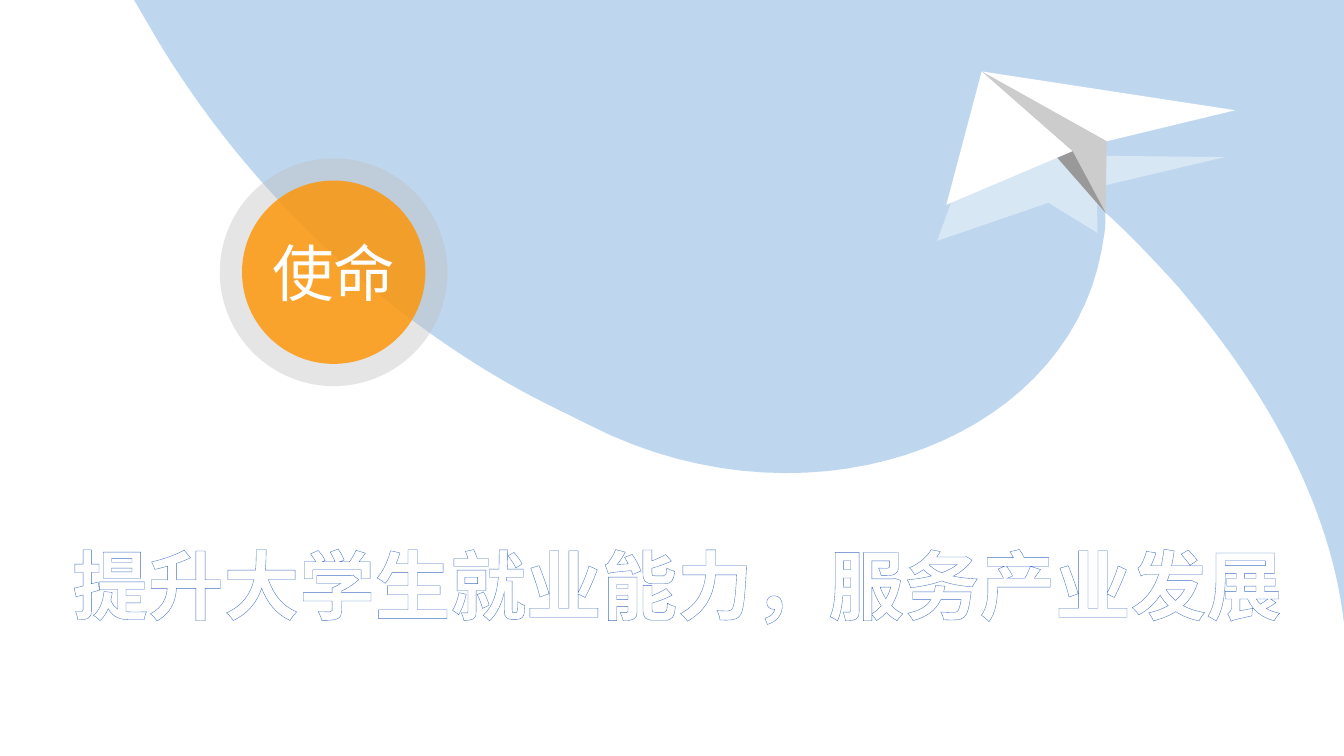
from lxml.etree import SubElement
from pptx import Presentation
from pptx.dml.color import RGBColor
from pptx.enum.shapes import MSO_SHAPE as Preset
from pptx.enum.text import MSO_ANCHOR as Anchor, MSO_AUTO_SIZE as AutoSize, PP_ALIGN as Align
from pptx.oxml.ns import qn
from pptx.util import Cm, Pt

WHITE = "FFFFFF"
CURVE_STEPS = 30

# Sky outline in cm: one point is a straight line, three are a Bezier curve.
SKY_START = (3.38, 0)
SKY_SEGMENTS = [
    [(33.87, 0)],
    [(33.87, 15.7)],
    [(33.51, 12.55), (31.75, 9.75), (30.18, 7.82)],
    [(29.72, 7.26)],
    [(28.93, 6.38), (28.27, 5.72), (27.86, 5.36)],
    [(27.86, 5.51), (27.86, 5.69), (27.84, 5.84)],
    [(27.76, 6.32)],
    [(26.9, 10.97), (20.85, 13.39), (15.39, 10.97)],
    [(14.81, 10.69)],
    [(13.84, 10.21)],
    [(12.47, 9.53), (11.18, 8.69), (9.93, 7.72)],
    [(7.47, 5.79), (5.44, 3.48), (3.91, 0.91)],
]

NOSE, RIGHT_TIP, LEFT_TIP = (24.74, 1.8), (31.13, 2.78), (23.85, 5.16)
FOLD, KEEL, TAIL = (27.89, 3.56), (27.03, 3.81), (27.86, 5.36)
PLANE_SHADOW = [(27.64, 4.72), (30.86, 3.96), (24.41, 3.89),
                (23.62, 6.07), (26.42, 5.11), (27.66, 5.87)]
PLANE_FACETS = [
    ([NOSE, FOLD, RIGHT_TIP], WHITE),
    ([NOSE, FOLD, TAIL], "CCCCCC"),
    ([NOSE, TAIL, KEEL], "999999"),
    ([NOSE, LEFT_TIP, KEEL], WHITE),
]

BADGE_CENTRE = (8.41, 6.86)
BADGE_RINGS = [(2.87, "BFBFBF", 40), (2.31, "FF9300", 80)]


def color(hex_text):
    return RGBColor.from_string(hex_text)


def paint(shape, fill, opacity=100):
    shape.shadow.inherit = False
    shape.line.fill.background()
    shape.fill.solid()
    shape.fill.fore_color.rgb = color(fill)
    if opacity < 100:
        tint = shape.fill._xPr.find(qn("a:solidFill"))[0]
        SubElement(tint, qn("a:alpha"), val=str(opacity * 1000))


def bezier(start, first, second, end):
    """Points along a cubic curve, without its start."""
    for step in range(1, CURVE_STEPS + 1):
        t = step / CURVE_STEPS
        u = 1 - t
        yield tuple(u**3 * a + 3 * u * u * t * b + 3 * u * t * t * c + t**3 * d
                    for a, b, c, d in zip(start, first, second, end))


def trace(start, segments):
    """Turn lines and curves into one list of points."""
    points = [start]
    for segment in segments:
        points += bezier(points[-1], *segment) if len(segment) == 3 else segment
    return points


def add_polygon(page, points, fill, opacity=100):
    corners = [(Cm(x), Cm(y)) for x, y in points]
    builder = page.shapes.build_freeform(*corners[0])
    builder.add_line_segments(corners[1:], close=True)
    paint(builder.convert_to_shape(), fill, opacity)


def add_badge_rings(page):
    group = page.shapes.add_group_shape()
    x, y = BADGE_CENTRE
    for radius, fill, opacity in BADGE_RINGS:
        ring = group.shapes.add_shape(Preset.OVAL, Cm(x - radius), Cm(y - radius),
                                      Cm(2 * radius), Cm(2 * radius))
        paint(ring, fill, opacity)


def write(box, text, size, bold=False):
    """Put one centred white line in a box and return its run."""
    frame = box.text_frame
    frame.text = text
    frame.word_wrap = False
    frame.auto_size = AutoSize.SHAPE_TO_FIT_TEXT
    frame.vertical_anchor = Anchor.TOP
    para = frame.paragraphs[0]
    para.alignment = Align.CENTER
    span = para.runs[0]
    span.font.name = "Arial"
    span.font.size = Pt(size)
    span.font.bold = bold
    span.font.color.rgb = color(WHITE)
    return span


def outline_text(span, hex_text, width):
    props = span._r.get_or_add_rPr()
    line = SubElement(props, qn("a:ln"), w=str(Pt(width)))
    fill = SubElement(line, qn("a:solidFill"))
    SubElement(fill, qn("a:srgbClr"), val=hex_text)
    props.insert(0, line)


def add_mission_title(page):
    title = page.shapes.title
    title.left, title.top, title.width, title.height = Cm(1.57), Cm(13.44), Cm(30.99), Cm(2.57)
    span = write(title, "提升大学生就业能力，服务产业发展", 54, bold=True)
    outline_text(span, "4472C4", 0.8)


def main():
    deck = Presentation()
    deck.slide_width, deck.slide_height = Cm(33.87), Cm(19.05)
    page = deck.slides.add_slide(deck.slide_layouts[5])

    add_polygon(page, trace(SKY_START, SKY_SEGMENTS), "9DC3E6", 65)
    add_polygon(page, PLANE_SHADOW, WHITE, 40)
    for points, fill in PLANE_FACETS:
        add_polygon(page, points, fill)

    add_badge_rings(page)
    label = page.shapes.add_textbox(Cm(6.58), Cm(5.79), Cm(3.66), Cm(2.13))
    write(label, "使命", 44)
    add_mission_title(page)

    deck.save("out.pptx")


if __name__ == "__main__":
    main()
